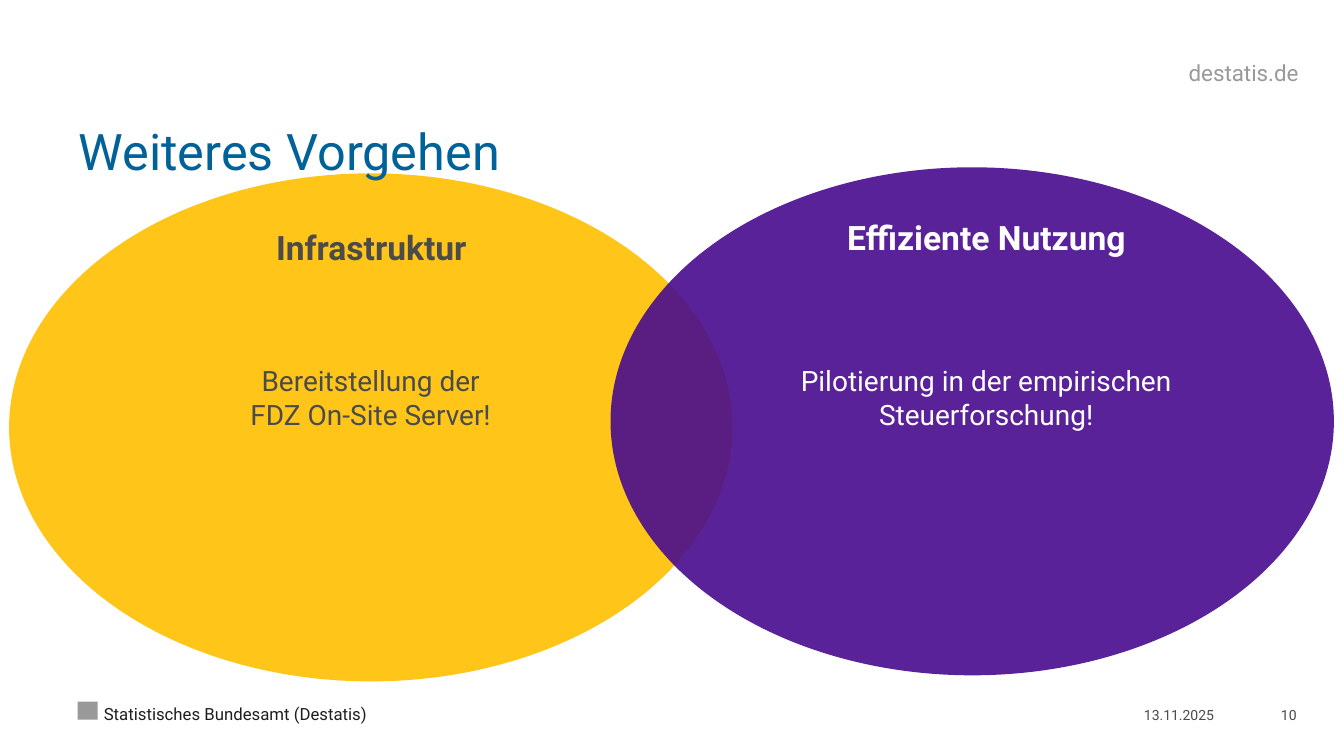
from dataclasses import dataclass

from lxml.etree import SubElement
from pptx import Presentation
from pptx.dml.color import RGBColor
from pptx.enum.shapes import MSO_SHAPE
from pptx.enum.text import MSO_ANCHOR, MSO_AUTO_SIZE, PP_ALIGN
from pptx.oxml.ns import qn
from pptx.util import Inches, Pt


@dataclass(frozen=True)
class Theme:
    font: str = "Roboto"
    blue: str = "006298"
    yellow: str = "FFC000"
    purple: str = "490B8D"
    white: str = "FFFFFF"
    black: str = "1E1E1E"
    dark_gray: str = "4B4B4B"
    light_gray: str = "999999"
    title_size: int = 36
    heading_size: int = 24
    body_size: int = 20
    address_size: int = 16
    footer_size: int = 12
    small_size: int = 10


class SlideBuilder:
    def __init__(self, slide, theme):
        self.slide = slide
        self.theme = theme

    def place(self, shape, box):
        shape.left, shape.top, shape.width, shape.height = map(Inches, box)

    def set_text(self, shape, text, size, color, align, anchor, bold=False):
        text_frame = shape.text_frame
        text_frame.text = text
        text_frame.word_wrap = True
        text_frame.auto_size = MSO_AUTO_SIZE.NONE
        text_frame.vertical_anchor = anchor
        paragraph = text_frame.paragraphs[0]
        paragraph.alignment = align
        font = paragraph.runs[0].font
        font.name = self.theme.font
        font.size = Pt(size)
        font.bold = bold
        font.color.rgb = RGBColor.from_string(color)

    def title(self, text, box):
        shape = self.slide.shapes.title
        self.place(shape, box)
        self.set_text(shape, text, self.theme.title_size, self.theme.blue,
                      PP_ALIGN.LEFT, MSO_ANCHOR.MIDDLE)
        text_frame = shape.text_frame
        text_frame.margin_left = text_frame.margin_right = 0
        text_frame.margin_top = text_frame.margin_bottom = Inches(0.08)
        text_frame.paragraphs[0].line_spacing = 0.8

    def label(self, text, box, size, color, bold=False):
        shape = self.slide.shapes.add_textbox(*map(Inches, box))
        self.set_text(shape, text, size, color, PP_ALIGN.CENTER, MSO_ANCHOR.TOP, bold)

    def margin_text(self, text, box, size, color, align=PP_ALIGN.RIGHT,
                    anchor=MSO_ANCHOR.BOTTOM):
        shape = self.slide.shapes.add_textbox(*map(Inches, box))
        self.set_text(shape, text, size, color, align, anchor)
        text_frame = shape.text_frame
        text_frame.margin_left = text_frame.margin_right = 0
        text_frame.margin_top = text_frame.margin_bottom = 0

    def filled_shape(self, kind, box, color, opacity=100):
        shape = self.slide.shapes.add_shape(kind, *map(Inches, box))
        shape.shadow.inherit = False
        shape.fill.solid()
        shape.fill.fore_color.rgb = RGBColor.from_string(color)
        shape.line.fill.background()
        if opacity < 100:
            color_element = shape.element.spPr.find(qn("a:solidFill"))[0]
            SubElement(color_element, qn("a:alpha"), val=str(opacity * 1000))


def main():
    theme = Theme()
    presentation = Presentation()
    presentation.slide_width = Inches(13.34)
    presentation.slide_height = Inches(7.5)
    slide = presentation.slides.add_slide(presentation.slide_layouts[5])
    builder = SlideBuilder(slide, theme)

    builder.filled_shape(MSO_SHAPE.RECTANGLE, (0.77, 6.96, 0.2, 0.18), theme.light_gray)
    builder.margin_text("destatis.de", (11.19, 0.61, 1.7, 0.23), theme.address_size,
                        theme.light_gray, anchor=MSO_ANCHOR.MIDDLE)

    for left, top, color in ((0.09, 1.72, theme.yellow), (6.06, 1.66, theme.purple)):
        builder.filled_shape(MSO_SHAPE.OVAL, (left, top, 7.18, 5.04), color, opacity=90)

    title_element = slide.shapes.title.element
    title_element.getparent().append(title_element)
    builder.title("Weiteres Vorgehen", (0.78, 1.22, 12.11, 0.66))

    footer_top, footer_height = 6.89, 0.29
    builder.margin_text("13.11.2025", (10.41, footer_top, 1.64, footer_height),
                        theme.small_size, theme.dark_gray)
    builder.margin_text("Statistisches Bundesamt (Destatis)",
                        (1.03, footer_top, 9.29, footer_height),
                        theme.footer_size, theme.black, PP_ALIGN.LEFT)
    builder.margin_text("10", (12.12, footer_top, 0.75, footer_height),
                        theme.small_size, theme.dark_gray)

    builder.label("Infrastruktur", (2.09, 2.2, 3.19, 0.5),
                  theme.heading_size, theme.dark_gray, bold=True)
    builder.label("Effiziente Nutzung", (8.28, 2.1, 3.02, 0.5),
                  theme.heading_size, theme.white, bold=True)
    builder.label("Bereitstellung der FDZ On-Site Server!", (2.31, 3.56, 2.74, 0.77),
                  theme.body_size, theme.dark_gray)
    builder.label("Pilotierung in der empirischen Steuerforschung!",
                  (7.31, 3.56, 4.96, 0.77), theme.body_size, theme.white)

    presentation.save("out.pptx")


if __name__ == "__main__":
    main()
